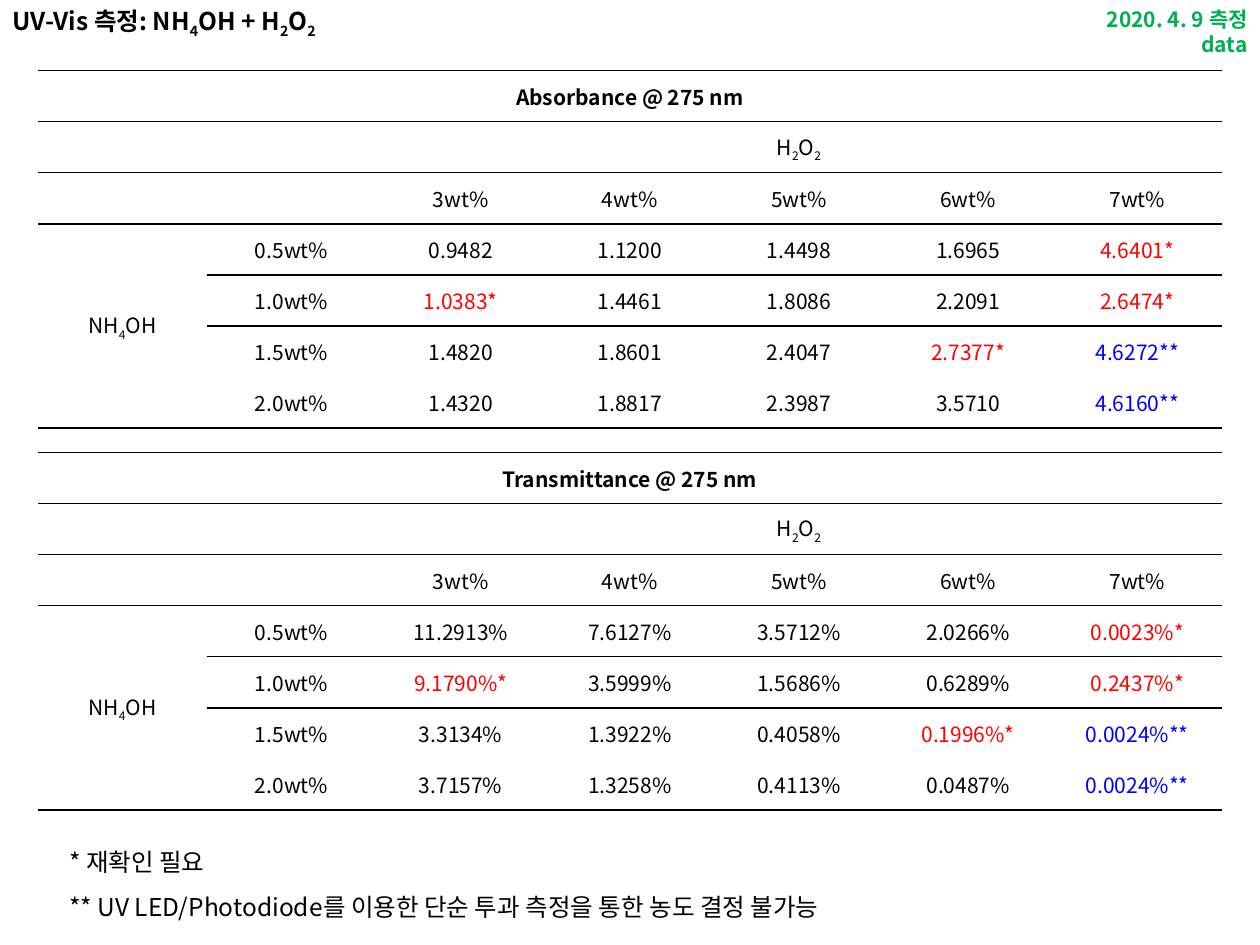
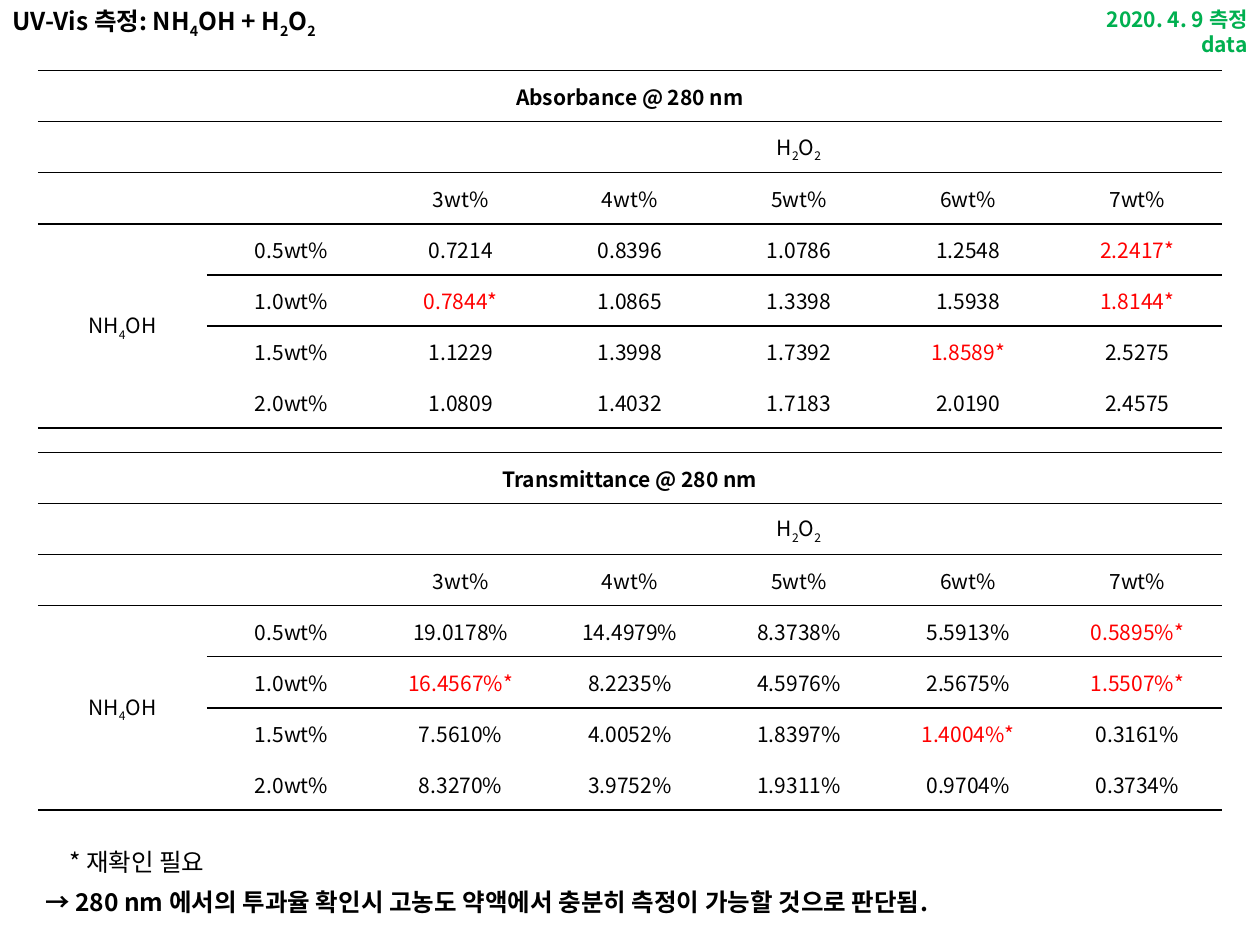
from dataclasses import dataclass

from lxml.etree import SubElement
from pptx import Presentation
from pptx.dml.color import RGBColor
from pptx.enum.text import MSO_ANCHOR, PP_ALIGN
from pptx.oxml import parse_xml
from pptx.oxml.ns import nsdecls, qn
from pptx.util import Inches, Pt


@dataclass(frozen=True)
class Theme:
    """Colours, type sizes and rules shared by the slides."""
    font: str = "Noto Sans CJK KR"
    ink: str = "000000"
    date: str = "00B050"
    recheck: str = "FF0000"
    undecidable: str = "0000FF"
    heading_size: int = 14
    body_size: int = 12
    rule_width: int = 1
    plain_table: str = "{2D5ABB26-0587-4C30-8999-92F81FD0307C}"


WIDTH, HEIGHT = Inches(10), Inches(7.5)
GRID_COLUMNS, GRID_ROWS = 100, 75
TITLE = "UV-Vis 측정: NH_4OH + H_2O_2"
DATE = "2020. 4. 9 측정 data"
PEROXIDE, AMMONIA = "H_2O_2", "NH_4OH"
PEROXIDE_LEVELS = [f"{level}wt%" for level in range(3, 8)]
AMMONIA_LEVELS = ["0.5wt%", "1.0wt%", "1.5wt%", "2.0wt%"]
RECHECK_NOTE = "* 재확인 필요"
LIMIT_NOTE = "** UV LED/Photodiode를 이용한 단순 투과 측정을 통한 농도 결정 불가능"
CONCLUSION = "→ 280 nm 에서의 투과율 확인시 고농도 약액에서 충분히 측정이 가능할 것으로 판단됨."

MEASUREMENTS = {
    275: {
        "Absorbance": """
            0.9482 1.1200 1.4498 1.6965 4.6401*
            1.0383* 1.4461 1.8086 2.2091 2.6474*
            1.4820 1.8601 2.4047 2.7377* 4.6272**
            1.4320 1.8817 2.3987 3.5710 4.6160**""",
        "Transmittance": """
            11.2913% 7.6127% 3.5712% 2.0266% 0.0023%*
            9.1790%* 3.5999% 1.5686% 0.6289% 0.2437%*
            3.3134% 1.3922% 0.4058% 0.1996%* 0.0024%**
            3.7157% 1.3258% 0.4113% 0.0487% 0.0024%**""",
    },
    280: {
        "Absorbance": """
            0.7214 0.8396 1.0786 1.2548 2.2417*
            0.7844* 1.0865 1.3398 1.5938 1.8144*
            1.1229 1.3998 1.7392 1.8589* 2.5275
            1.0809 1.4032 1.7183 2.0190 2.4575""",
        "Transmittance": """
            19.0178% 14.4979% 8.3738% 5.5913% 0.5895%*
            16.4567%* 8.2235% 4.5976% 2.5675% 1.5507%*
            7.5610% 4.0052% 1.8397% 1.4004%* 0.3161%
            8.3270% 3.9752% 1.9311% 0.9704% 0.3734%""",
    },
}


def table_rows(heading, readings):
    """Put the heading and the concentration labels around the readings."""
    body = [line.split() for line in readings.strip().splitlines()]
    rows = [
        [heading] + [""] * 6,
        ["", "", PEROXIDE] + [""] * 4,
        ["", ""] + PEROXIDE_LEVELS,
    ]
    for level, values in zip(AMMONIA_LEVELS, body):
        rows.append([AMMONIA if level == AMMONIA_LEVELS[0] else "", level] + values)
    return rows


class Report:
    """Holds the theme and the current slide and draws each kind of element."""

    def __init__(self, theme):
        """Start an empty deck."""
        self.theme = theme
        self.deck = Presentation()
        self.deck.slide_width, self.deck.slide_height = WIDTH, HEIGHT
        self.slide = None

    def new_slide(self):
        """Add a blank slide with the shared title and date."""
        self.slide = self.deck.slides.add_slide(self.deck.slide_layouts[6])
        self.text([TITLE], (0, 0, 29.8, 3.4), bold=True)
        date = self.text([DATE], (81.9, 0, 18.1, 3), self.theme.body_size,
                         self.theme.date, bold=True, align=PP_ALIGN.RIGHT)
        date.margin_left = Inches(0.3)

    def place(self, area):
        """Turn grid columns and rows into slide lengths."""
        left, top, width, height = area
        column, row = WIDTH / GRID_COLUMNS, HEIGHT / GRID_ROWS
        return [round(length) for length in
                (left * column, top * row, width * column, height * row)]

    def fill_paragraph(self, paragraph, content, size, color, bold):
        """Fill a paragraph; a digit after an underscore is a subscript."""
        first, *rest = content.split("_")
        paragraph.text = first
        for part in rest:
            for piece, baseline in ((part[0], "-25000"), (part[1:], "0")):
                if piece:
                    run = paragraph.add_run()
                    run.text = piece
                    run._r.get_or_add_rPr().set("baseline", baseline)
        for run in paragraph.runs:
            run.font.name = self.theme.font
            run.font.size = Pt(size)
            run.font.bold = bold
            run.font.color.rgb = RGBColor.from_string(color)
            east_asian = SubElement(run._r.get_or_add_rPr(), qn("a:ea"))
            east_asian.set("typeface", self.theme.font)
        if not paragraph.runs:
            paragraph._p.get_or_add_endParaRPr().set("sz", str(size * 100))

    def text(self, lines, area, size=None, color=None, bold=False,
             align=PP_ALIGN.LEFT, spacing=None):
        """Add a text box with one paragraph for each line."""
        frame = self.slide.shapes.add_textbox(*self.place(area)).text_frame
        frame.word_wrap = True
        frame.text = "\n".join(lines)
        for paragraph, line in zip(frame.paragraphs, lines):
            self.fill_paragraph(paragraph, line, size or self.theme.heading_size,
                                color or self.theme.ink, bold)
            paragraph.alignment = align
            paragraph.line_spacing = spacing
        return frame

    def reading_color(self, content):
        """Choose the colour that the asterisks call for."""
        if content.endswith("**"):
            return self.theme.undecidable
        return self.theme.recheck if content.endswith("*") else self.theme.ink

    def rule(self, tag):
        """Make one horizontal cell border."""
        return parse_xml(
            f'<a:{tag} {nsdecls("a")} w="{Pt(self.theme.rule_width)}">'
            f'<a:solidFill><a:srgbClr val="{self.theme.ink}"/></a:solidFill></a:{tag}>')

    def table(self, rows, area):
        """Add a ruled table of readings."""
        left, top, width, height = self.place(area)
        last = len(rows)
        table = self.slide.shapes.add_table(
            last, len(rows[0]), left, top, width, height).table
        table.first_row = table.horz_banding = False
        table._tbl.tblPr.find(qn("a:tableStyleId")).text = self.theme.plain_table
        for column in table.columns:
            column.width = round(width / len(rows[0]))
        for row in table.rows:
            row.height = round(height / last)
        for start, end in (((0, 0), (0, 6)), ((1, 2), (1, 6)), ((3, 0), (6, 0))):
            table.cell(*start).merge(table.cell(*end))
        for r, contents in enumerate(rows):
            for c, content in enumerate(contents):
                cell = table.cell(r, c)
                cell.vertical_anchor = MSO_ANCHOR.MIDDLE
                cell.fill.background()
                paragraph = cell.text_frame.paragraphs[0]
                self.fill_paragraph(paragraph, content, self.theme.body_size,
                                    self.reading_color(content), r == 0)
                paragraph.alignment = PP_ALIGN.CENTER
                ruled = {0, 1, 2, 3, last} | ({4} if c else set())
                edges = (("lnT", r), ("lnB", r + cell.span_height))
                borders = [self.rule(tag) for tag, edge in edges if edge in ruled]
                for position, border in enumerate(borders):
                    cell._tc.get_or_add_tcPr().insert(position, border)


def main():
    """Build a slide for each wavelength and save the deck."""
    report = Report(Theme())
    for wavelength, quantities in MEASUREMENTS.items():
        report.new_slide()
        for index, (quantity, readings) in enumerate(quantities.items()):
            report.table(table_rows(f"{quantity} @ {wavelength} nm", readings),
                         (3, 5.6 + index * 30.3, 94, 28.4))
        if wavelength == 275:
            report.text([RECHECK_NOTE, LIMIT_NOTE], (4.5, 65.6, 66.9, 8.1), spacing=1.5)
        else:
            report.text([RECHECK_NOTE], (4.5, 65.6, 14, 4.1), spacing=1.5)
            report.text([CONCLUSION], (2.6, 68.7, 79.5, 4.5), bold=True, spacing=1.5)
    report.deck.save("out.pptx")


if __name__ == "__main__":
    main()
